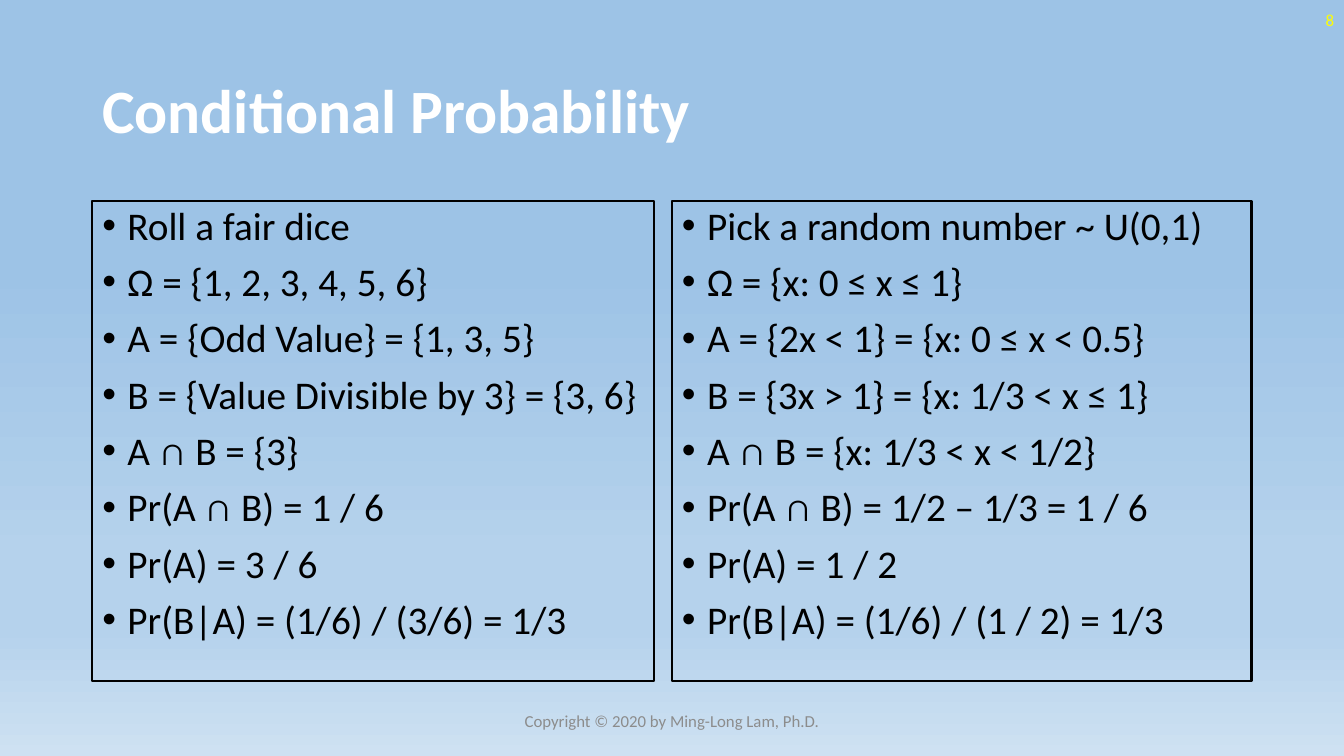
from copy import deepcopy

from lxml import etree
from pptx import Presentation
from pptx import util as u
from pptx.dml.color import RGBColor
from pptx.enum import shapes, text
from pptx.oxml import ns

LEFT, MID, RIGHT = text.PP_ALIGN.LEFT, text.PP_ALIGN.CENTER, text.PP_ALIGN.RIGHT


def color(code):
    return RGBColor.from_string(code)


class Page:
    """Holds the style and the current slide."""
    face = "Calibri"
    ink = "000000"
    lead = 0.9
    hang = 18

    def __init__(self, deck):
        self.slide = deck.slides.add_slide(deck.slide_layouts[6])

    def back(self, stops):
        fill = self.slide.background.fill
        fill.gradient()
        fill.gradient_angle = 270
        group = self.slide.element.find(".//" + ns.qn("a:gsLst"))
        while len(group) < len(stops):
            group.append(deepcopy(group[0]))
        for stop, (place, code) in zip(fill.gradient_stops, stops):
            stop.position = place
            stop.color.rgb = color(code)

    def add_run(self, para, words, size, code, bold=False):
        run = para.add_run()
        run.text = words
        font = run.font
        font.name, font.size, font.bold = self.face, u.Pt(size), bold
        font.color.rgb = color(code)

    def label(self, area, words, size, code, align=LEFT, bold=False):
        box = self.slide.shapes.add_textbox(*map(u.Pt, area))
        frame = box.text_frame
        frame.word_wrap = True
        frame.vertical_anchor = text.MSO_ANCHOR.MIDDLE
        para = frame.paragraphs[0]
        para.alignment, para.line_spacing = align, self.lead if bold else 1.0
        self.add_run(para, words, size, code, bold)

    def bullet(self, para):
        props = para._p.get_or_add_pPr()
        props.set("marL", str(u.Pt(self.hang)))
        props.set("indent", str(-u.Pt(self.hang)))
        etree.SubElement(props, ns.qn("a:buFont"), typeface="Arial")
        etree.SubElement(props, ns.qn("a:buChar"), char="•")

    def panel(self, area, lines):
        box = self.slide.shapes.add_shape(
            shapes.MSO_SHAPE.RECTANGLE, *map(u.Pt, area))
        box.shadow.inherit = False
        box.fill.background()
        box.line.color.rgb = color(self.ink)
        box.line.width = u.Pt(1.5)
        frame = box.text_frame
        frame.word_wrap = True
        frame.vertical_anchor = text.MSO_ANCHOR.TOP
        for i, words in enumerate(lines):
            para = frame.add_paragraph() if i else frame.paragraphs[0]
            self.bullet(para)
            para.alignment, para.line_spacing = LEFT, self.lead
            para.space_before = u.Pt(10 if i else 0)
            self.add_run(para, words, 28, self.ink)


def main():
    deck = Presentation()
    deck.slide_width, deck.slide_height = u.Pt(960), u.Pt(540)
    page = Page(deck)
    page.back([(0.35, "9DC3E6"), (0.74, "B5D2EC"),
               (0.83, "B5D2EC"), (1.0, "CEE1F2")])

    # Title, page number and footer
    page.label((66, 28.75, 828, 104.4), "Conditional Probability",
               44, "FFFFFF", bold=True)
    page.label((744, 0, 216, 28.75), "8", 12, "FFFF00", RIGHT)
    page.label((318, 500.5, 324, 28.75),
               "Copyright © 2020 by Ming-Long Lam, Ph.D.", 12, "8C8C8C", MID)

    # Discrete and continuous examples
    top, tall = 143.75, 343
    page.panel((66, top, 401, tall), [
        "Roll a fair dice",
        "Ω = {1, 2, 3, 4, 5, 6}",
        "A = {Odd Value} = {1, 3, 5}",
        "B = {Value Divisible by 3} = {3, 6}",
        "A ∩ B = {3}",
        "Pr(A ∩ B) = 1 / 6",
        "Pr(A) = 3 / 6",
        "Pr(B|A) = (1/6) / (3/6) = 1/3",
    ])
    page.panel((480, top, 414, tall), [
        "Pick a random number ~ U(0,1)",
        "Ω = {x: 0 ≤ x ≤ 1}",
        "A = {2x < 1} = {x: 0 ≤ x < 0.5}",
        "B = {3x > 1} = {x: 1/3 < x ≤ 1}",
        "A ∩ B = {x: 1/3 < x < 1/2}",
        "Pr(A ∩ B) = 1/2 – 1/3 = 1 / 6",
        "Pr(A) = 1 / 2",
        "Pr(B|A) = (1/6) / (1 / 2) = 1/3",
    ])

    deck.save("out.pptx")


if __name__ == "__main__":
    main()
